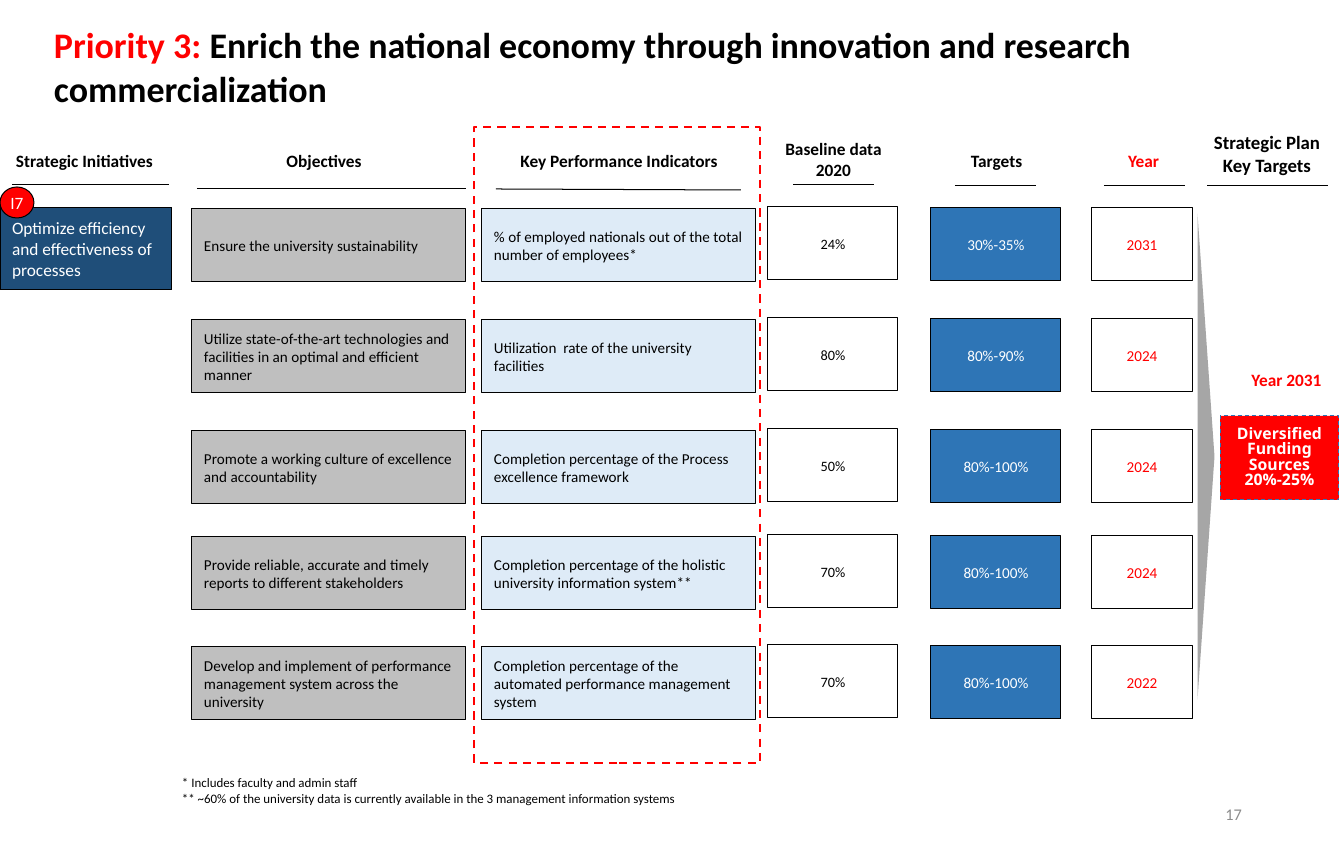
from lxml import etree
from pptx import Presentation
from pptx.dml.color import RGBColor
from pptx.enum.dml import MSO_LINE
from pptx.enum.shapes import MSO_CONNECTOR, MSO_SHAPE
from pptx.enum.text import MSO_ANCHOR, MSO_AUTO_SIZE, PP_ALIGN
from pptx.oxml.ns import qn
from pptx.util import Pt

PX = 9321
RECT, OVAL, TRIANGLE = MSO_SHAPE.RECTANGLE, MSO_SHAPE.OVAL, MSO_SHAPE.ISOSCELES_TRIANGLE
STRAIGHT, DASH = MSO_CONNECTOR.STRAIGHT, MSO_LINE.DASH
LEFT, CENTER, RIGHT = PP_ALIGN.LEFT, PP_ALIGN.CENTER, PP_ALIGN.RIGHT
TOP, MIDDLE, NO_FIT = MSO_ANCHOR.TOP, MSO_ANCHOR.MIDDLE, MSO_AUTO_SIZE.NONE
BLACK, WHITE, RED, BLUE = "000000", "FFFFFF", "FF0000", "2E75B6"
NAVY, GREY, PALE, SILVER, DIM = "1F4E79", "BFBFBF", "DEEBF7", "A6A6A6", "8C8C8C"

ROW_TOPS = [209, 320, 431, 537, 647]
ROW_HEIGHT = 73
COLUMNS = [
    (192, 274, 0, dict(fill=GREY), dict(size=11.1)),
    (482, 274, 0, dict(fill=PALE), dict(size=11.1)),
    (768, 130, -2, dict(), dict(size=10.5, align=CENTER)),
    (931, 130, -1, dict(fill=BLUE), dict(size=11.1, color=WHITE, align=CENTER)),
    (1091, 102, -1, dict(fill=WHITE), dict(size=11.1, color=RED, align=CENTER)),
]
ROWS = [
    ("Ensure the university sustainability",
     "% of employed nationals out of the total number of employees*",
     "24%", "30%-35%", "2031"),
    ("Utilize state-of-the-art technologies and facilities in an optimal and efficient manner",
     "Utilization  rate of the university facilities",
     "80%", "80%-90%", "2024"),
    ("Promote a working culture of excellence and accountability",
     "Completion percentage of the Process excellence framework",
     "50%", "80%-100%", "2024"),
    ("Provide reliable, accurate and timely reports to different stakeholders",
     "Completion percentage of the holistic university information system**",
     "70%", "80%-100%", "2024"),
    ("Develop and implement of performance management system across the university",
     "Completion percentage of the automated performance management system",
     "70%", "80%-100%", "2022"),
]
HEADERS = [
    ("Strategic Initiatives", -18, 144, 205, BLACK, 12.7),
    ("Objectives", 170, 144, 308, BLACK, 12.7),
    ("Key Performance Indicators", 504, 144, 230, BLACK, 12.7),
    ("Baseline data\n2020", 770, 132, 127, BLACK, 12.7),
    ("Targets", 944, 144, 105, BLACK, 12.7),
    ("Year", 1091, 144, 105, RED, 12.7),
    ("Strategic Plan Key Targets", 1200, 125, 134, BLACK, 13.8),
    ("Year 2031", 1234, 363, 105, RED, 12.7),
]
RULES = [
    (12, 185, 169, 185), (197, 189, 466, 189), (496, 189, 741, 190),
    (793, 185, 874, 185), (955, 186, 1036, 186), (1104, 186, 1185, 186),
    (1207, 186, 1328, 186),
]


def rgb(value):
    return RGBColor.from_string(value)


class Board:
    """Draws styled elements on one slide, with lengths in px."""

    def __init__(self, slide, font="Calibri"):
        self.slide = slide
        self.font = font

    def px(self, *values):
        return [v * PX for v in values]

    def run(self, p, text, size=12.7, color=BLACK, bold=False, font=None):
        r = p.add_run()
        r.text = text
        r.font.name = font or self.font
        r.font.size = Pt(size)
        r.font.bold = bold
        r.font.color.rgb = rgb(color)

    def frame(self, tf, inset=(12, 6), anchor=TOP):
        tf.word_wrap = True
        tf.auto_size = NO_FIT
        tf.vertical_anchor = anchor
        tf.margin_left = tf.margin_right = inset[0] * PX
        tf.margin_top = tf.margin_bottom = inset[1] * PX

    def put_text(self, tf, text, align=LEFT, spacing=None, inset=(12, 6), anchor=TOP, **fmt):
        self.frame(tf, inset, anchor)
        for i, line in enumerate(text.split("\n")):
            p = tf.add_paragraph() if i else tf.paragraphs[0]
            p.alignment = align
            if spacing:
                p.line_spacing = spacing
            self.run(p, line, **fmt)

    def title(self, box, parts, size):
        sp = self.slide.shapes.title
        sp.left, sp.top, sp.width, sp.height = self.px(*box)
        self.frame(sp.text_frame)
        p = sp.text_frame.paragraphs[0]
        p.alignment = LEFT
        for text, color in parts:
            self.run(p, text, size=size, color=color, bold=True)

    def text(self, box, text, **fmt):
        sp = self.slide.shapes.add_textbox(*self.px(*box))
        self.put_text(sp.text_frame, text, **fmt)

    def shape(self, kind, box, fill=None, line=BLACK, weight=0.75, dash=None):
        sp = self.slide.shapes.add_shape(kind, *self.px(*box))
        sp.shadow.inherit = False
        if fill:
            sp.fill.solid()
            sp.fill.fore_color.rgb = rgb(fill)
        else:
            sp.fill.background()
        if line:
            sp.line.color.rgb = rgb(line)
            sp.line.width = Pt(weight)
            if dash:
                sp.line.dash_style = dash
        else:
            sp.line.fill.background()
        return sp

    def box(self, kind, box, text, style, **fmt):
        sp = self.shape(kind, box, **style)
        self.put_text(sp.text_frame, text, anchor=MIDDLE, **fmt)

    def rule(self, *ends):
        c = self.slide.shapes.add_connector(STRAIGHT, *self.px(*ends))
        c.line.color.rgb = rgb(BLACK)
        c.line.width = Pt(0.75)
        etree.SubElement(c._element.spPr, qn("a:effectLst"))


def main():
    prs = Presentation()
    prs.slide_width, prs.slide_height = 1344 * PX, 853 * PX
    s = Board(prs.slides.add_slide(prs.slide_layouts[5]))

    s.title((42, 17, 1225, 92), [
        ("Priority 3: ", RED),
        ("Enrich the national economy through innovation and research commercialization", BLACK),
    ], size=26.4)

    for text, left, top, width, color, size in HEADERS:
        s.text((left, top, width, 34), text, align=CENTER, color=color, size=size, bold=True)
    for ends in RULES:
        s.rule(*ends)

    s.box(RECT, (0, 207, 172, 83), "Optimize efficiency and effectiveness of processes",
          dict(fill=NAVY), color=WHITE)
    s.box(OVAL, (0, 187, 34, 31), "I7", dict(fill=RED), color=WHITE, align=CENTER, inset=(0, 0))

    for top, row in zip(ROW_TOPS, ROWS):
        for text, (left, width, shift, style, fmt) in zip(row, COLUMNS):
            s.box(RECT, (left, top + shift, width, ROW_HEIGHT), text, style, **fmt)

    s.shape(RECT, (474, 127, 286, 636), line=RED, weight=1.5, dash=DASH)
    arrow = s.shape(TRIANGLE, (963, 448, 486, 17), fill=SILVER, line=None)
    arrow.rotation = 90
    s.box(RECT, (1220, 416, 119, 84), "Diversified Funding Sources\n20%-25%",
          dict(fill=RED, line=BLUE, dash=DASH), align=CENTER, spacing=0.8, inset=(11, 6),
          size=11.6, color=WHITE, bold=True, font="Noto Sans")

    s.text((172, 770, 1103, 41),
           "* Includes faculty and admin staff\n"
           "** ~60% of the university data is currently available in the 3 management "
           "information systems", size=9.5, inset=(10, 5))
    s.text((950, 791, 302, 45), "17", size=12, color=DIM, align=RIGHT, anchor=MIDDLE,
           inset=(10, 5))
    prs.save("out.pptx")


if __name__ == "__main__":
    main()
